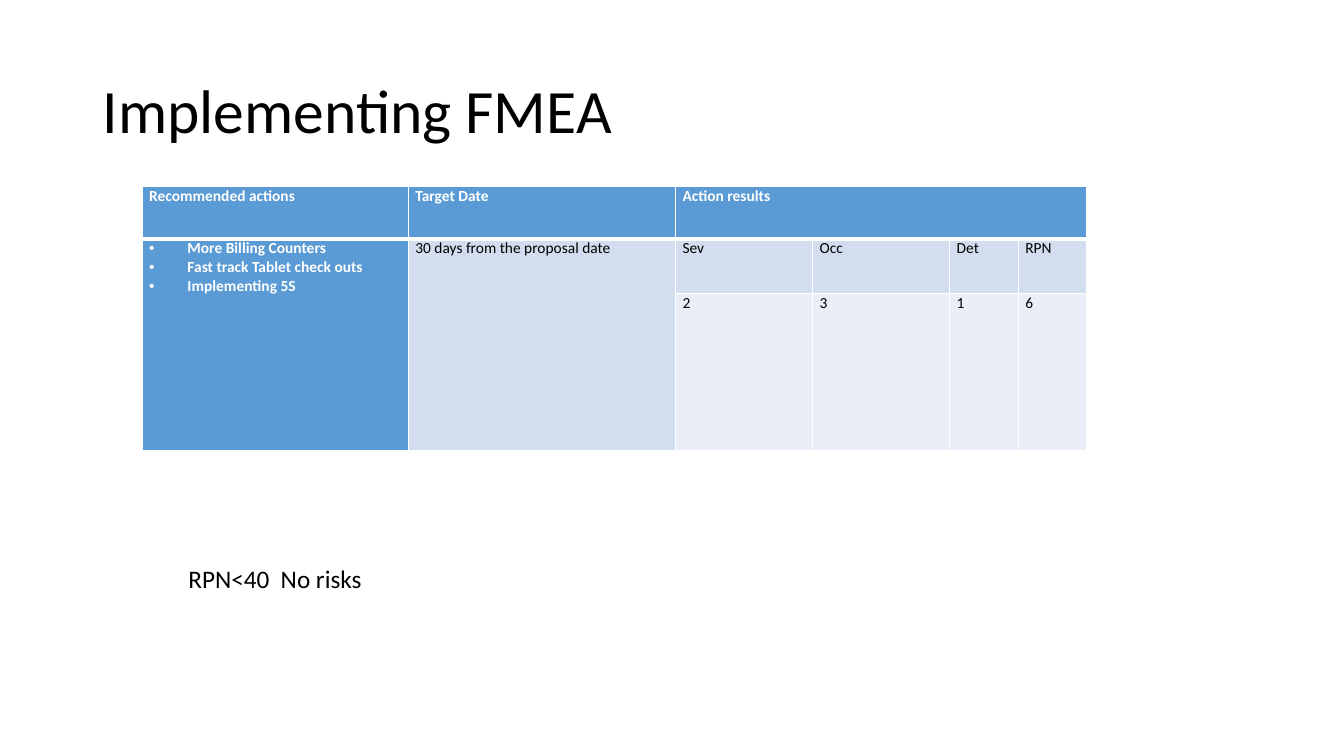
from lxml import etree
from pptx import Presentation
from pptx import util as u
from pptx.dml.color import RGBColor
from pptx.enum import text
from pptx.oxml import ns

EMU_PER_PX = 9144  # 100 px to the inch
FONT = "Calibri"
COLORS = {"ink": "000000", "paper": "FFFFFF", "accent": "5B9BD5",
          "band": "D2DEEF", "light": "EAEFF7"}

COLUMNS = [264, 265, 136, 136, 68, 68]
ROWS = [52, 54, 156]
CELLS = {
    (0, 0): ["Recommended actions"],
    (0, 1): ["Target Date"],
    (0, 2): ["Action results"],
    (1, 0): ["More Billing Counters", "Fast track Tablet check outs", "Implementing 5S"],
    (1, 1): ["30 days from the proposal date"],
    (1, 2): ["Sev"], (1, 3): ["Occ"], (1, 4): ["Det"], (1, 5): ["RPN"],
    (2, 2): ["2"], (2, 3): ["3"], (2, 4): ["1"], (2, 5): ["6"],
}
MERGES = [((0, 2), (0, 5)), ((1, 0), (2, 0)), ((1, 1), (2, 1))]


def px(length):
    return u.Emu(length * EMU_PER_PX)


def apply(target, **values):
    for name, value in values.items():
        setattr(target, name, value)


def place(shape, left, top, width, height):
    apply(shape, left=px(left), top=px(top), width=px(width), height=px(height))


def write(para, words, size, color="ink", bold=False):
    span = para.add_run()
    span.text = words
    apply(span.font, name=FONT, size=u.Pt(size), bold=bold)
    span.font.color.rgb = RGBColor.from_string(COLORS[color])


def add_bullet(para):
    properties = para._p.get_or_add_pPr()
    properties.set("marL", str(px(38)))
    properties.set("indent", str(px(-38)))
    etree.SubElement(properties, ns.qn("a:buFont")).set("typeface", "Arial")
    etree.SubElement(properties, ns.qn("a:buChar")).set("char", "•")


def add_borders(cell, widths):
    """Draw white cell edges; widths maps L, R, T and B to points."""
    properties = cell._tc.get_or_add_tcPr()
    for side, width in widths.items():
        line = etree.SubElement(properties, ns.qn(f"a:ln{side}"), w=str(u.Pt(width)))
        fill = etree.SubElement(line, ns.qn("a:solidFill"))
        etree.SubElement(fill, ns.qn("a:srgbClr")).set("val", COLORS["paper"])


def format_cell(cell, row, column):
    heading = row == 0 or column == 0
    apply(cell, margin_left=px(7), margin_right=px(7), margin_top=0, margin_bottom=0)
    add_borders(cell, {"L": 1, "R": 1, "T": 3 if row == 1 else 1,
                       "B": 3 if row == 0 else 1})
    fill = "accent" if heading else "band" if row == 1 or column == 1 else "light"
    cell.fill.solid()
    cell.fill.fore_color.rgb = RGBColor.from_string(COLORS[fill])

    lines = CELLS.get((row, column), [])
    for number, words in enumerate(lines):
        para = cell.text_frame.add_paragraph() if number else cell.text_frame.paragraphs[0]
        if len(lines) > 1:
            add_bullet(para)
        write(para, words, 11, "paper" if heading else "ink", heading)


def add_title(page, words):
    title = page.shapes.title
    place(title, 92, 40, 1150, 145)
    apply(title.text_frame, vertical_anchor=text.MSO_ANCHOR.MIDDLE,
          auto_size=text.MSO_AUTO_SIZE.NONE, word_wrap=True)
    para = title.text_frame.paragraphs[0]
    apply(para, alignment=text.PP_ALIGN.LEFT, line_spacing=0.9)
    write(para, words, 44)


def add_action_table(page, left, top):
    frame = page.shapes.add_table(len(ROWS), len(COLUMNS), px(left), px(top),
                                  px(sum(COLUMNS)), px(sum(ROWS)))
    table = frame.table
    for column, width in zip(table.columns, COLUMNS):
        column.width = px(width)
    for row, height in zip(table.rows, ROWS):
        row.height = px(height)
    for first, last in MERGES:
        table.cell(*first).merge(table.cell(*last))
    for row in range(len(ROWS)):
        for column in range(len(COLUMNS)):
            format_cell(table.cell(row, column), row, column)


def add_note(page, words):
    box = page.shapes.add_textbox(px(177), px(554), px(785), px(40))
    apply(box.text_frame, word_wrap=True, auto_size=text.MSO_AUTO_SIZE.SHAPE_TO_FIT_TEXT)
    write(box.text_frame.paragraphs[0], words, 18)


def main():
    deck = Presentation()
    apply(deck, slide_width=px(1333), slide_height=px(750))
    page = deck.slides.add_slide(deck.slide_layouts.get_by_name("Title Only"))
    add_title(page, "Implementing FMEA")
    add_action_table(page, 141, 185)
    add_note(page, "RPN<40  No risks")
    deck.save("out.pptx")


if __name__ == "__main__":
    main()
